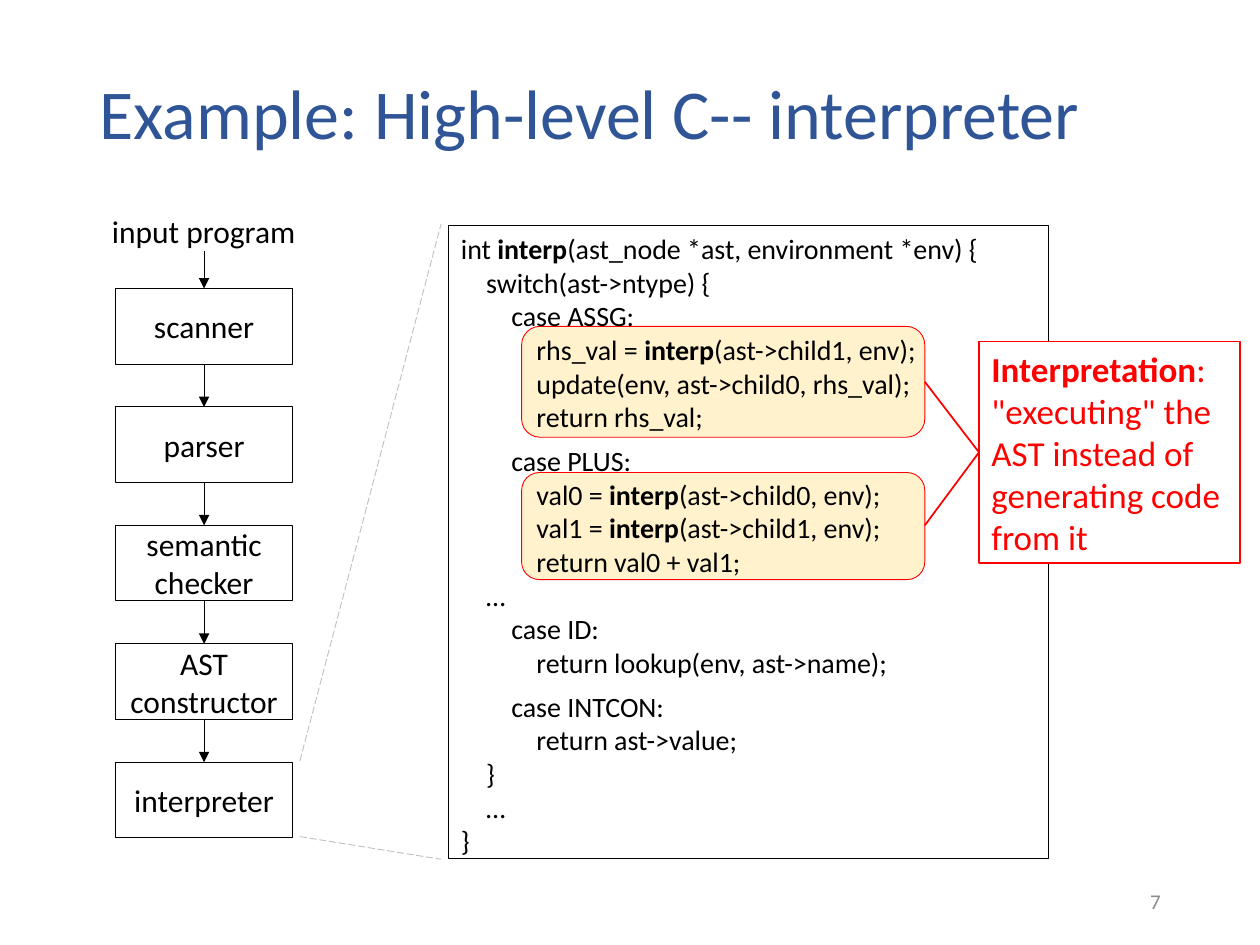
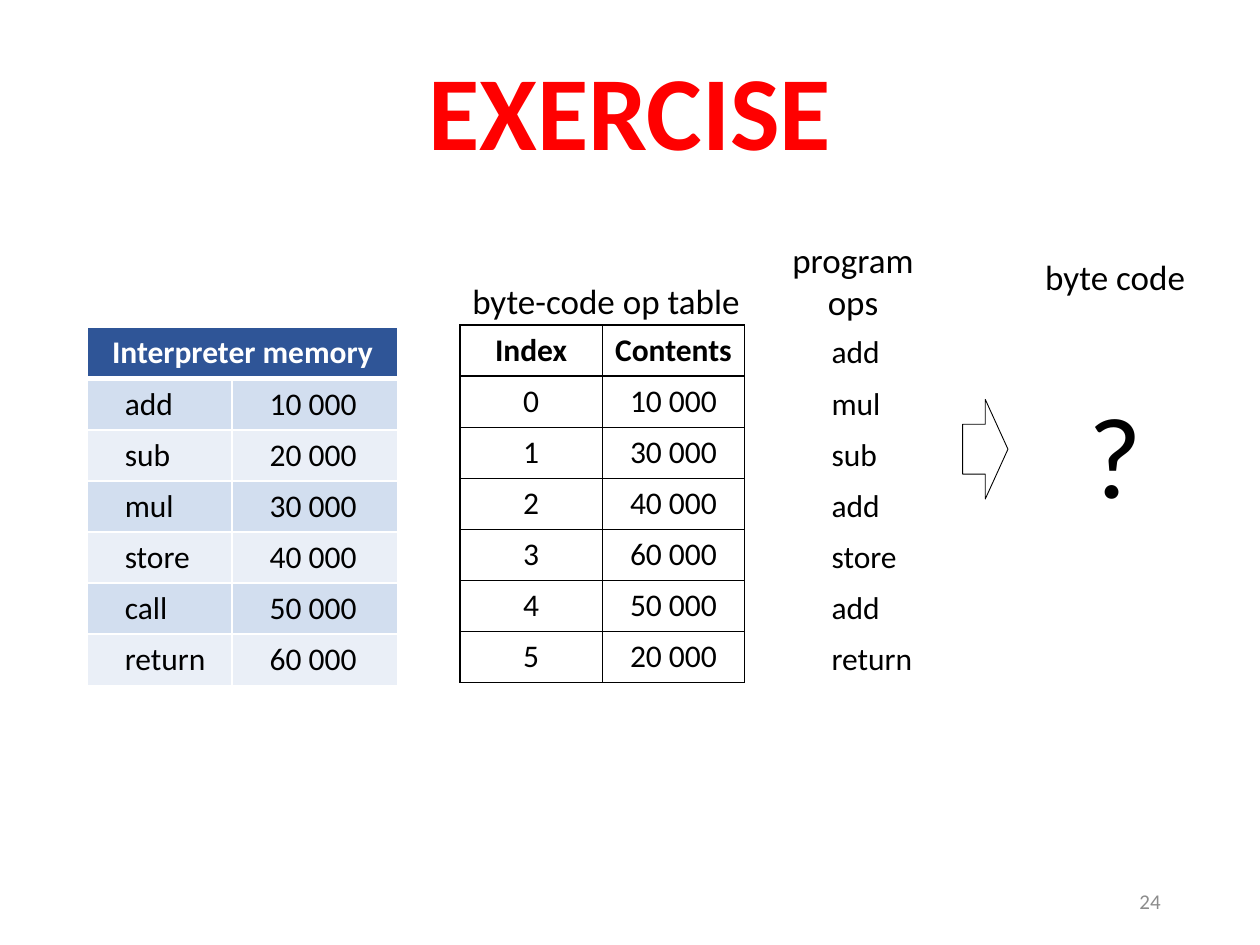
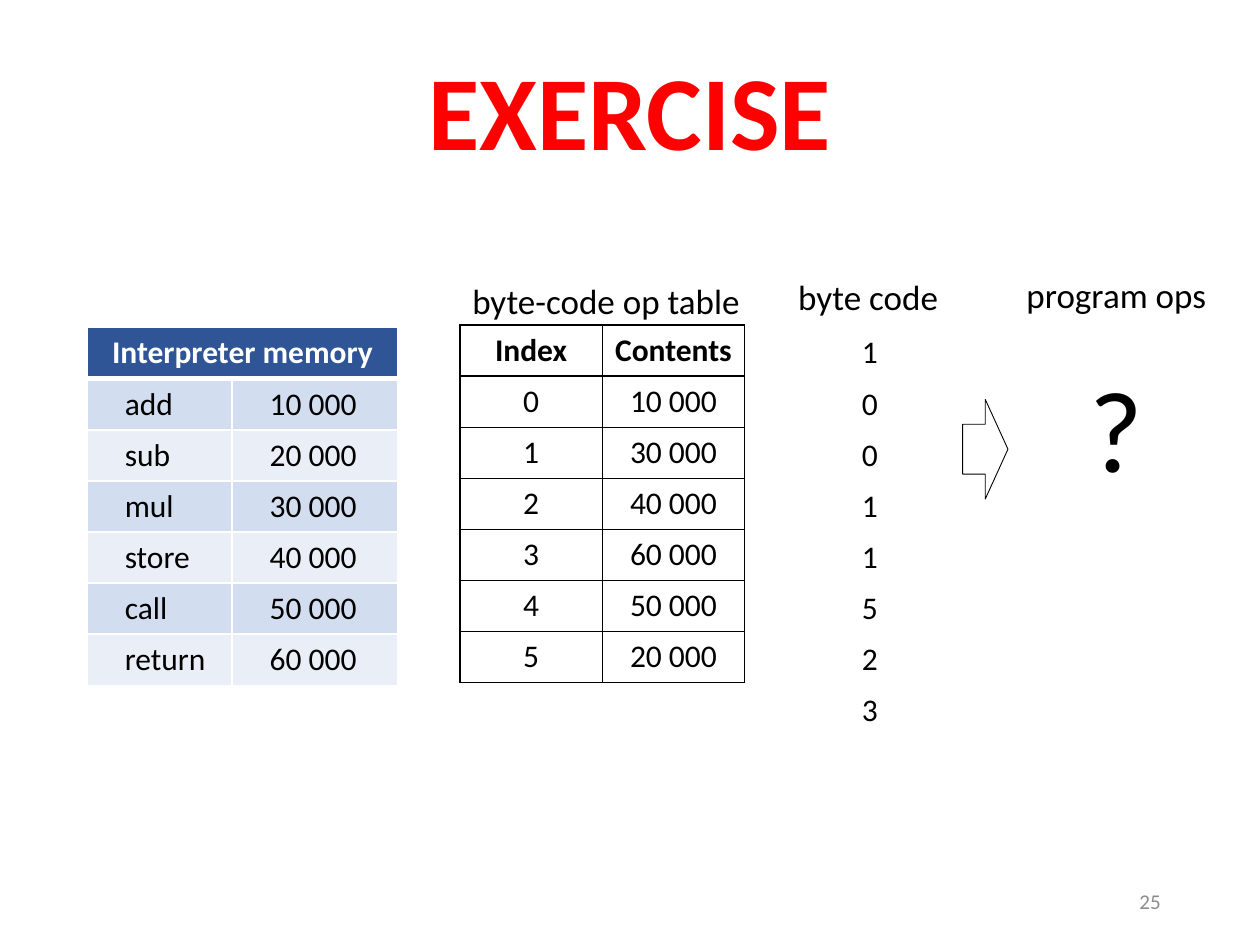
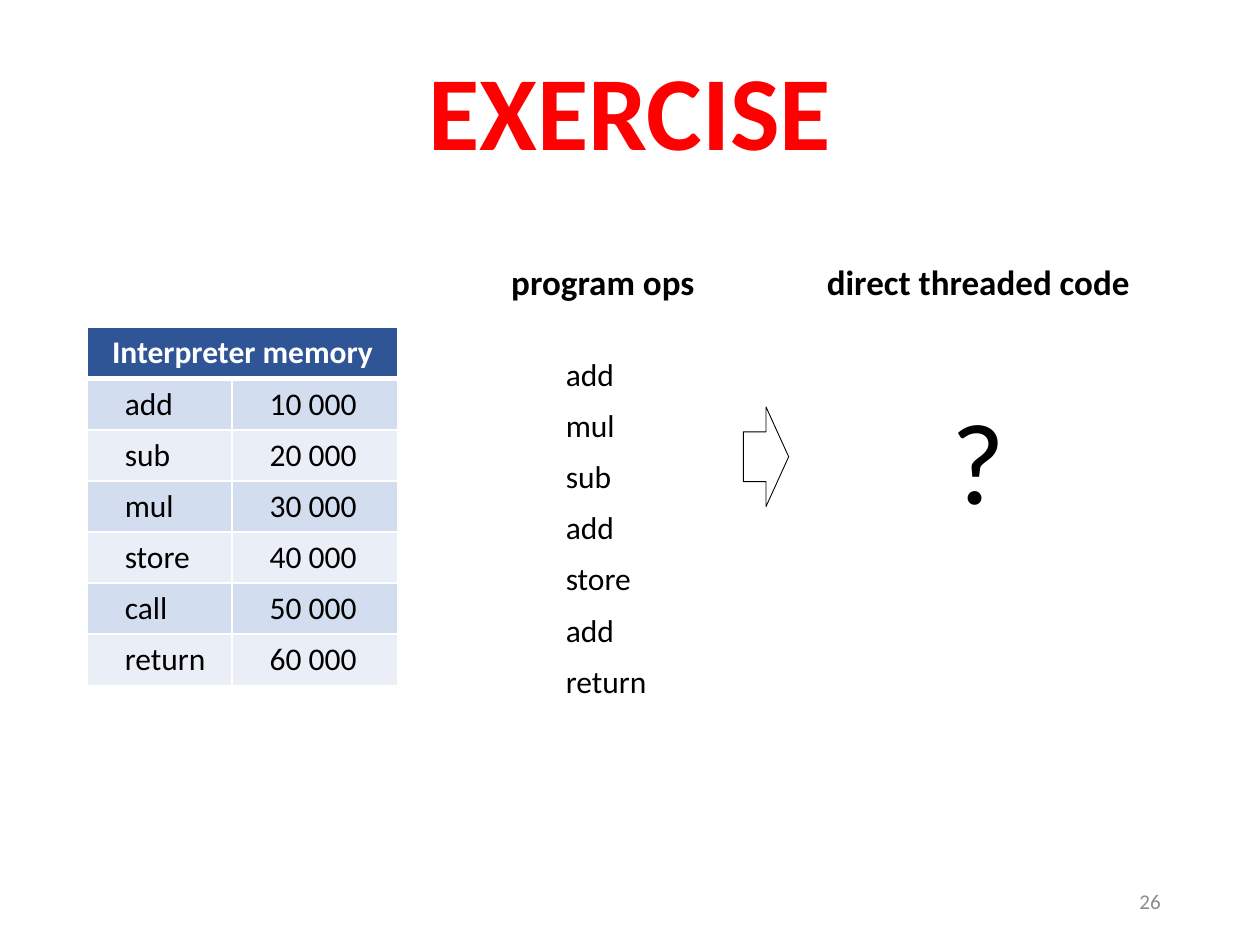
"""Build four slides on interpreters and byte-code exercises."""
from lxml import etree
from pptx import Presentation
from pptx.dml.color import RGBColor
from pptx.enum.dml import MSO_LINE
from pptx.enum.shapes import MSO_CONNECTOR, MSO_SHAPE
from pptx.enum.text import MSO_ANCHOR, MSO_AUTO_SIZE, PP_ALIGN
from pptx.oxml.ns import qn
from pptx.util import Pt

LEFT, CENTER, RIGHT = PP_ALIGN.LEFT, PP_ALIGN.CENTER, PP_ALIGN.RIGHT
MIDDLE, TOP = MSO_ANCHOR.MIDDLE, MSO_ANCHOR.TOP
RECT, ROUNDED, ARROW = MSO_SHAPE.RECTANGLE, MSO_SHAPE.ROUNDED_RECTANGLE, MSO_SHAPE.RIGHT_ARROW
STRAIGHT, LONG_DASH = MSO_CONNECTOR.STRAIGHT, MSO_LINE.LONG_DASH
FIXED = MSO_AUTO_SIZE.NONE

PX = 9144
FONT = "Calibri"
NO_GRID_STYLE = "{2D5ABB26-0587-4C30-8999-92F81FD0307C}"
COLORS = {
    "black": "000000", "white": "FFFFFF", "blue": "2F5597", "red": "FF0000",
    "cream": "FFF2CC", "gray": "8C8C8C", "silver": "BFBFBF",
    "band": "D2DEEF", "pale": "EAEFF7",
}
COLORS = {name: RGBColor.from_string(value) for name, value in COLORS.items()}


def write(frame, lines, size, color="black", align=LEFT, strong=None):
    """Fill a text frame line by line, with the strong words in bold."""
    for number, line in enumerate(lines):
        para = frame.add_paragraph() if number else frame.paragraphs[0]
        para.alignment = align
        for words in line.partition(strong) if strong else (line,):
            if words:
                span = para.add_run()
                span.text = words
                span.font.name = FONT
                span.font.size = Pt(size)
                span.font.bold = words == strong
                span.font.color.rgb = COLORS[color]


def add_grid(page, rows, place, widths, inset, align=LEFT, header=False, fills=None, border=None):
    """Add a table with optional bold header, row fills and borders."""
    left, top = place
    frame = page.shapes.add_table(len(rows), len(widths), left * PX, top * PX,
                                  sum(widths) * PX, 284 * PX * len(rows) // 7)
    frame._element.find(".//" + qn("a:tableStyleId")).text = NO_GRID_STYLE
    table = frame.table
    table.first_row = header
    table.horz_banding = False
    for column, width in zip(table.columns, widths):
        column.width = width * PX
    for row, texts in enumerate(rows):
        heading = header and row == 0
        if len(texts) < len(widths):
            table.cell(row, 0).merge(table.cell(row, len(widths) - 1))
        for column in range(len(widths)):
            cell = table.cell(row, column)
            cell.margin_left = (10 if heading else inset) * PX
            if fills:
                cell.fill.solid()
                cell.fill.fore_color.rgb = COLORS[fills[row]]
            else:
                cell.fill.background()
            if column < len(texts):
                text = texts[column]
                write(cell.text_frame, [text], 18, "white" if fills and heading else "black",
                      CENTER if heading else align, text if heading else None)
            for order, side in enumerate("LRTB" if border else ""):
                thick = fills and (row, side) in ((0, "B"), (1, "T"))
                edge = etree.Element(qn("a:ln" + side), w=str(Pt(3 if thick else 1)))
                paint = etree.SubElement(edge, qn("a:solidFill"))
                etree.SubElement(paint, qn("a:srgbClr"), val=str(COLORS[border]))
                cell._tc.get_or_add_tcPr().insert(order, edge)


deck = Presentation()
deck.slide_width, deck.slide_height = 1000 * PX, 750 * PX

pages = []
for title, number, size, color, align in (
    ("Example: High-level C-- interpreter", 7, 40, "blue", LEFT),
    ("EXERCISE", 24, 60, "red", CENTER),
    ("EXERCISE", 25, 60, "red", CENTER),
    ("EXERCISE", 26, 60, "red", CENTER),
):
    page = deck.slides.add_slide(deck.slide_layouts[5])
    heading = page.shapes.title
    heading.left, heading.top, heading.width, heading.height = 69 * PX, 40 * PX, 862 * PX, 105 * PX
    heading.text_frame.auto_size = FIXED
    heading.text_frame.vertical_anchor = MIDDLE
    write(heading.text_frame, [title], size, color, align, title if align == CENTER else None)
    heading.text_frame.paragraphs[0].line_spacing = 0.9
    footer = page.shapes.add_textbox(706 * PX, 695 * PX, 225 * PX, 40 * PX).text_frame
    footer.word_wrap = True
    footer.vertical_anchor = MIDDLE
    write(footer, [str(number)], 12, "gray", RIGHT)
    pages.append(page)

page = pages[0]
code = (
    (0, "int interp(ast_node *ast, environment *env) {"),
    (1, "switch(ast->ntype) {"),
    (2, "case ASSG:"),
    (3, "rhs_val = interp(ast->child1, env);"),
    (3, "update(env, ast->child0, rhs_val);"),
    (3, "return rhs_val;"),
    (2, "case PLUS:"),
    (3, "val0 = interp(ast->child0, env);"),
    (3, "val1 = interp(ast->child1, env);"),
    (3, "return val0 + val1;"),
    (1, "…"),
    (2, "case ID:"),
    (3, "return lookup(env, ast->name);"),
    (2, "case INTCON:"),
    (3, "return ast->value;"),
    (1, "}"),
    (1, "…"),
    (0, "}"),
)
code_lines = [line for level, line in code]
callout = ["Interpretation:", '"executing" the AST instead of generating code from it']
stages = ("scanner", "parser", "semantic checker", "AST constructor", "interpreter")
stage_tops = [229 + 94 * step for step in range(len(stages))]

boxes = [
    (ROUNDED, (414, 259, 320, 88), "cream", "red", 0.5, [], 16, LEFT, TOP, None),
    (ROUNDED, (414, 375, 320, 85), "cream", "red", 0.5, [], 16, LEFT, TOP, None),
    (RECT, (356, 179, 476, 502), None, "black", 0.5, code_lines, 16, LEFT, TOP, "interp"),
    (RECT, (777, 271, 207, 176), "white", "red", 1, callout, 20, LEFT, MIDDLE, "Interpretation"),
]
for stage, top in zip(stages, stage_tops):
    boxes.append((RECT, (92, top, 140, 60), None, "black", 0.5, [stage], 18, CENTER, MIDDLE, None))

for kind, place, fill, outline, weight, lines, size, align, anchor, strong in boxes:
    box = page.shapes.add_shape(kind, *(length * PX for length in place))
    box.shadow.inherit = False
    if fill:
        box.fill.solid()
        box.fill.fore_color.rgb = COLORS[fill]
    else:
        box.fill.background()
    box.line.color.rgb = COLORS[outline]
    box.line.width = Pt(weight)
    box.text_frame.vertical_anchor = anchor
    write(box.text_frame, lines, size, "red" if lines is callout else "black", align, strong)
    if lines is code_lines:
        for (level, line), para in zip(code, box.text_frame.paragraphs):
            para._p.get_or_add_pPr().set("marL", str(20 * level * PX))
            if line in ("return rhs_val;", "return lookup(env, ast->name);"):
                para.space_after = Pt(6)

label = page.shapes.add_textbox(79 * PX, 163 * PX, 168 * PX, 40 * PX).text_frame
label.word_wrap = False
write(label, ["input program"], 18)

links = [((162, max(199, top - 34)), (162, top), "black", 0.5) for top in stage_tops]
links += [
    ((238, 604), (350, 178), "silver", 0.5),
    ((238, 664), (350, 682), "silver", 0.5),
    ((734, 303), (777, 359), "red", 1),
    ((734, 417), (777, 359), "red", 1),
]
for start, end, color, weight in links:
    link = page.shapes.add_connector(STRAIGHT, *(length * PX for length in start + end))
    link.line.color.rgb = COLORS[color]
    link.line.width = Pt(weight)
    if color == "silver":
        link.line.dash_style = LONG_DASH
    properties = link._element.spPr
    if color == "black":
        etree.SubElement(properties.find(qn("a:ln")), qn("a:tailEnd"), type="triangle")
    etree.SubElement(properties, qn("a:effectLst"))

memory = [("Interpreter memory",), ("add", "10 000"), ("sub", "20 000"), ("mul", "30 000"),
          ("store", "40 000"), ("call", "50 000"), ("return", "60 000")]
memory_fills = ["blue"] + ["band", "pale"] * 3
op_table = [("Index", "Contents"), ("0", "10 000"), ("1", "30 000"), ("2", "40 000"),
            ("3", "60 000"), ("4", "50 000"), ("5", "20 000")]
program = ("add", "mul", "sub", "add", "store", "add", "return")
byte_code = "10011523"

exercises = (
    (True, program, (640, 260), 99, (764, 317), False, (
        (["program", "ops"], (615, 184, 124, 77), 0),
        (["byte code", "?"], (819, 198, 132, 222), 49))),
    (True, byte_code, (664, 260), 75, (764, 317), False, (
        (["byte code"], (623, 214, 132, 44), 0),
        (["program ops", "?"], (804, 212, 164, 188), 24))),
    (False, program, (429, 278), 99, (590, 323), True, (
        (["program ops"], (380, 202, 197, 44), 0),
        (["direct threaded code", "?"], (645, 202, 263, 222), 49))),
)
for page, (has_ops, given, place, width, arrow_place, bold, labels) in zip(pages[1:], exercises):
    add_grid(page, memory, (69, 260), (115, 132), 30, header=True,
             fills=memory_fills, border="white")
    if has_ops:
        add_grid(page, op_table, (365, 258), (113, 113), 10, CENTER, header=True, border="black")
        caption = page.shapes.add_textbox(365 * PX, 217 * PX, 234 * PX, 44 * PX).text_frame
        caption.word_wrap = False
        write(caption, ["byte-code op table"], 20)
    add_grid(page, [(item,) for item in given], place, (width,), 20)
    for lines, label_place, gap in labels:
        label = page.shapes.add_textbox(*(length * PX for length in label_place)).text_frame
        label.word_wrap = False
        write(label, lines, 20, align=CENTER, strong=lines[0] if bold else None)
        if lines[-1] == "?":
            question = label.paragraphs[-1]
            question.space_before = Pt(gap)
            question.runs[0].font.size = Pt(66)
    arrow = page.shapes.add_shape(ARROW, *(length * PX for length in arrow_place + (36, 79)))
    arrow.shadow.inherit = False
    arrow.fill.background()
    arrow.line.color.rgb = COLORS["black"]
    arrow.line.width = Pt(0.5)

deck.save("out.pptx")
